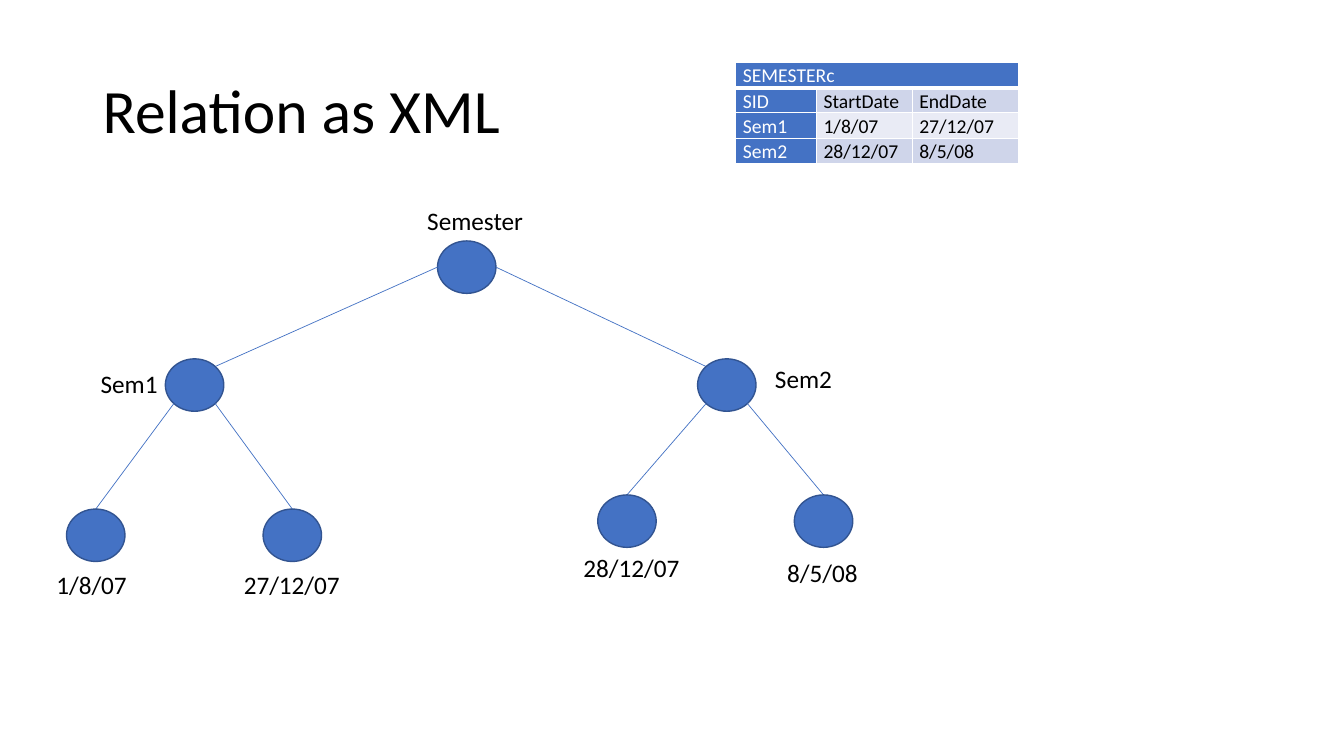
import dataclasses
import itertools
import typing

import lxml.etree
import pptx
import pptx.dml.color
import pptx.enum.shapes
import pptx.enum.text
import pptx.oxml.ns
import pptx.util

COLUMN = ROW = pptx.util.Inches(0.1)
SLIDE_SIZE = (133.33, 75)
NODE_WIDTH, NODE_HEIGHT = 5.8, 5.2
DIAGONAL = 0.354
BLUE, OUTLINE, WHITE, BLACK = "4472C4", "325491", "FFFFFF", "000000"
BANDS = ("CFD5EA", "E9EBF5")
TABLE_COLUMNS = (8, 9.5, 10.6)
TABLE_ROW = 2.5
SEMESTERS = (
    ("SEMESTERc", "", ""),
    ("SID", "StartDate", "EndDate"),
    ("Sem1", "1/8/07", "27/12/07"),
    ("Sem2", "28/12/07", "8/5/08"),
)


class Point(typing.NamedTuple):
    column: float
    row: float


@dataclasses.dataclass(frozen=True)
class Label:
    text: str
    corner: Point
    width: float
    height: float = 4
    format: dict[str, float] = dataclasses.field(default_factory=dict)


@dataclasses.dataclass(frozen=True)
class Node:
    corner: Point
    label: Label
    children: tuple["Node", ...] = ()

    def anchor(self, across: float, down: float) -> Point:
        return Point(self.corner.column + (0.5 + across) * NODE_WIDTH,
                     self.corner.row + (0.5 + down) * NODE_HEIGHT)


LOOSE = {"line_spacing": 1.07}
TITLE = Label("Relation as XML", Point(9.2, 4), 115, 14.5, {"line_spacing": 0.9})
SEM1 = Node(Point(16.4, 35.6), Label("Sem1", Point(9, 36.1), 7.7), (
    Node(Point(6.6, 50.5), Label("1/8/07", Point(4.6, 55.8), 9.1, 4.3, LOOSE)),
    Node(Point(26.1, 50.5), Label("27/12/07", Point(23.2, 55.8), 11.7, 4.3, LOOSE)),
))
SEM2 = Node(Point(69.2, 35.6), Label("Sem2", Point(75.9, 35.6), 7.7), (
    Node(Point(59.3, 49.1), Label("28/12/07", Point(56.9, 54.3), 11.7)),
    Node(Point(78.8, 49.1), Label("8/5/08", Point(77.1, 54.6), 9.1, 4.3, LOOSE)),
))
ROOT = Node(Point(43.4, 23.9), Label("Semester", Point(41.4, 19.9), 11.6), (SEM1, SEM2))


def colour(value: str) -> pptx.dml.color.RGBColor:
    return pptx.dml.color.RGBColor.from_string(value)


def place(*lengths: float) -> list[int]:
    return [round(length * unit) for length, unit in zip(lengths, itertools.cycle((COLUMN, ROW)))]


def assign(target: typing.Any, values: dict[str, typing.Any]) -> None:
    for name, value in values.items():
        setattr(target, name, value)


def write(frame: typing.Any, text: str, size: float, ink: str, layout: dict[str, float]) -> None:
    para = frame.paragraphs[0]
    assign(para, layout)
    span = para.add_run()
    span.text = text
    assign(span.font, {"name": "Calibri", "size": pptx.util.Pt(size)})
    span.font.color.rgb = colour(ink)


def draw_label(page: typing.Any, label: Label, size: float, frame_format: dict[str, typing.Any]) -> None:
    box = page.shapes.add_textbox(*place(*label.corner, label.width, label.height))
    assign(box.text_frame, frame_format)
    write(box.text_frame, label.text, size, BLACK, label.format)


def draw_edge(page: typing.Any, start: Point, end: Point) -> None:
    edge = page.shapes.add_connector(
        pptx.enum.shapes.MSO_CONNECTOR.STRAIGHT, *place(*start, *end))
    edge.line.color.rgb = colour(BLUE)
    edge.line.width = pptx.util.Pt(0.5)
    lxml.etree.SubElement(edge._element.spPr, pptx.oxml.ns.qn("a:effectLst"))


def draw_node(page: typing.Any, node: Node) -> None:
    oval = page.shapes.add_shape(
        pptx.enum.shapes.MSO_SHAPE.OVAL, *place(*node.corner, NODE_WIDTH, NODE_HEIGHT))
    oval.shadow.inherit = False
    oval.fill.solid()
    oval.fill.fore_color.rgb = colour(BLUE)
    oval.line.color.rgb = colour(OUTLINE)
    oval.line.width = pptx.util.Pt(1)
    draw_label(page, node.label, 18, {
        "word_wrap": False,
        "auto_size": pptx.enum.text.MSO_AUTO_SIZE.SHAPE_TO_FIT_TEXT,
    })
    for side, child in zip((-1, 1), node.children):
        if child.children:
            draw_edge(page, node.anchor(side / 2, 0), child.anchor(-side * DIAGONAL, -DIAGONAL))
        else:
            draw_edge(page, node.anchor(side * DIAGONAL, DIAGONAL), child.anchor(0, -0.5))
        draw_node(page, child)


def draw_borders(cell: typing.Any, widths: dict[str, float]) -> None:
    properties = cell._tc.get_or_add_tcPr()
    for side, width in widths.items():
        border = lxml.etree.SubElement(
            properties, pptx.oxml.ns.qn(f"a:ln{side}"), w=str(pptx.util.Pt(width)))
        fill = lxml.etree.SubElement(border, pptx.oxml.ns.qn("a:solidFill"))
        lxml.etree.SubElement(fill, pptx.oxml.ns.qn("a:srgbClr"), val=WHITE)


def draw_table(page: typing.Any, corner: Point) -> None:
    table = page.shapes.add_table(
        len(SEMESTERS), len(TABLE_COLUMNS),
        *place(*corner, sum(TABLE_COLUMNS), TABLE_ROW * len(SEMESTERS))).table
    for column, width in zip(table.columns, TABLE_COLUMNS):
        column.width = round(width * COLUMN)
    margin = pptx.util.Inches(0.07)
    for (row, values) in enumerate(SEMESTERS):
        for (column, text) in enumerate(values):
            cell = table.cell(row, column)
            heading = row == 0 or column == 0
            draw_borders(cell, {"L": 1, "R": 1, "T": 1, "B": 1 if row else 3})
            cell.fill.solid()
            cell.fill.fore_color.rgb = colour(BLUE if heading else BANDS[(row - 1) % 2])
            assign(cell, {"margin_left": margin, "margin_right": margin,
                          "margin_top": 0, "margin_bottom": 0})
            if text:
                write(cell.text_frame, text, 14, WHITE if heading else BLACK, LOOSE)
    table.cell(0, 0).merge(table.cell(0, len(TABLE_COLUMNS) - 1))


def main() -> None:
    deck = pptx.Presentation()
    deck.slide_width, deck.slide_height = place(*SLIDE_SIZE)
    page = deck.slides.add_slide(deck.slide_layouts[6])
    draw_label(page, TITLE, 44, {
        "word_wrap": True,
        "vertical_anchor": pptx.enum.text.MSO_ANCHOR.MIDDLE,
    })
    draw_table(page, Point(73, 6.2))
    draw_node(page, ROOT)
    deck.save("out.pptx")


if __name__ == "__main__":
    main()
